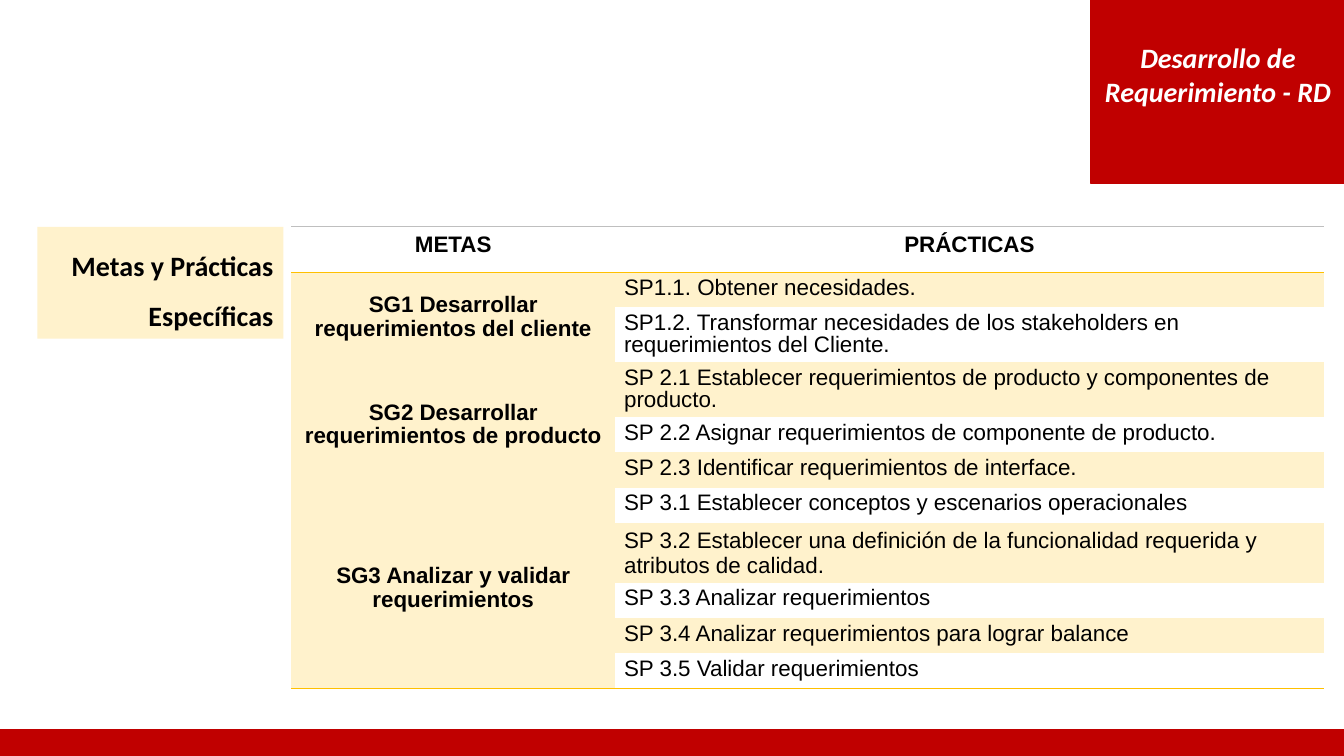
import pptx
import pptx.dml.color
import pptx.enum.shapes
import pptx.enum.text
import pptx.oxml
import pptx.oxml.ns
import pptx.util
from dataclasses import dataclass
from lxml import etree

Inches = pptx.util.Inches
Pt = pptx.util.Pt
Align = pptx.enum.text.PP_ALIGN
Anchor = pptx.enum.text.MSO_ANCHOR


@dataclass(frozen=True)
class Theme:
    red: str = "C00000"
    gold: str = "FFC000"
    cream: str = "FFF2CC"
    grey: str = "BFBFBF"
    black: str = "000000"
    white: str = "FFFFFF"
    heading_font: str = "Calibri"
    table_font: str = "Arial"
    heading_size: int = 20
    table_size: int = 16


theme = Theme()
rgb = pptx.dml.color.RGBColor.from_string


def add_block(left, top, width, height, fill, line=None):
    shape = slide.shapes.add_shape(
        pptx.enum.shapes.MSO_SHAPE.RECTANGLE,
        Inches(left), Inches(top), Inches(width), Inches(height))
    shape.shadow.inherit = False
    shape.fill.solid()
    shape.fill.fore_color.rgb = rgb(fill)
    if line:
        shape.line.color.rgb = rgb(line)
        shape.line.width = Pt(1)
    else:
        shape.line.fill.background()
    return shape


def write(frame, text, font, size, color, align, bold=True):
    frame.word_wrap = True
    paragraph = frame.paragraphs[0]
    paragraph.text = text
    paragraph.alignment = align
    paragraph.font.name = font
    paragraph.font.size = Pt(size)
    paragraph.font.bold = bold
    paragraph.font.color.rgb = rgb(color)
    return paragraph


presentation = pptx.Presentation()
presentation.slide_width = Inches(13.33)
presentation.slide_height = Inches(7.5)
slide = presentation.slides.add_slide(presentation.slide_layouts[6])

# Side label
label = add_block(0.37, 2.25, 2.44, 1.11, theme.cream)
label.text_frame.vertical_anchor = Anchor.TOP
paragraph = write(label.text_frame, "Metas y Prácticas Específicas", theme.heading_font,
                  theme.heading_size, theme.black, Align.RIGHT)
paragraph.line_spacing = 1.5

# Goals and their practices
goals = [
    ("SG1 Desarrollar requerimientos del cliente", [
        "SP1.1. Obtener necesidades.",
        "SP1.2. Transformar necesidades de los stakeholders en requerimientos del Cliente.",
    ]),
    ("SG2 Desarrollar requerimientos de producto", [
        "SP 2.1 Establecer requerimientos de producto y componentes de producto.",
        "SP 2.2 Asignar requerimientos de componente de producto.",
        "SP 2.3 Identificar requerimientos de interface.",
    ]),
    ("SG3 Analizar y validar requerimientos", [
        "SP 3.1 Establecer conceptos y escenarios operacionales",
        "SP 3.2 Establecer una definición de la funcionalidad requerida y atributos de calidad.",
        "SP 3.3 Analizar requerimientos",
        "SP 3.4 Analizar requerimientos para lograr balance",
        "SP 3.5 Validar requerimientos",
    ]),
]
row_heights = [0.45] + [0.35] * 6 + [0.38] + [0.35] * 3
table = slide.shapes.add_table(
    len(row_heights), 2, Inches(2.89), Inches(2.25),
    Inches(10.24), Inches(sum(row_heights))).table
table.horz_banding = False
# Plain style without grid
style = table._tbl.tblPr.find(pptx.oxml.ns.qn("a:tableStyleId"))
style.text = "{2D5ABB26-0587-4C30-8999-92F81FD0307C}"
for column, width in zip(table.columns, (3.21, 7.03)):
    column.width = Inches(width)
for row, height in zip(table.rows, row_heights):
    row.height = Inches(height)

# Fills: goal column and odd rows are cream
for row_index in range(len(row_heights)):
    for column_index in range(2):
        cell = table.cell(row_index, column_index)
        cell.margin_left = cell.margin_right = Inches(0.09)
        cell.margin_top = cell.margin_bottom = Inches(0.05)
        if row_index > 0 and (column_index == 0 or row_index % 2):
            cell.fill.solid()
            cell.fill.fore_color.rgb = rgb(theme.cream)
        else:
            cell.fill.background()

# Table text
for column_index, heading in enumerate(("METAS", "PRÁCTICAS")):
    write(table.cell(0, column_index).text_frame, heading, theme.table_font,
          theme.table_size, theme.black, Align.CENTER)

row_index = 1
for goal, practices in goals:
    goal_cell = table.cell(row_index, 0)
    goal_cell.merge(table.cell(row_index + len(practices) - 1, 0))
    goal_cell.vertical_anchor = Anchor.MIDDLE
    paragraph = write(goal_cell.text_frame, goal, theme.table_font,
                      theme.table_size, theme.black, Align.CENTER)
    paragraph.line_spacing = 0.95
    for practice in practices:
        paragraph = write(table.cell(row_index, 1).text_frame, practice, theme.table_font,
                          theme.table_size, theme.black, Align.LEFT, bold=False)
        if not practice.startswith("SP 3.2"):
            paragraph.line_spacing = 0.9
            paragraph.space_after = Pt(0)
            # Space after as a share of the line
            after = paragraph._p.pPr.find(pptx.oxml.ns.qn("a:spcAft"))
            after.remove(after[0])
            etree.SubElement(after, pptx.oxml.ns.qn("a:spcPct"), val="30000")
        row_index += 1

# Horizontal rules, bottom before top so the XML order holds
last_goal_row = len(row_heights) - len(goals[-1][1])
last_row = len(row_heights) - 1
rules = [(0, 0, "lnB", theme.gold), (0, 1, "lnB", theme.gold),
         (0, 0, "lnT", theme.grey), (0, 1, "lnT", theme.grey),
         (last_goal_row, 0, "lnB", theme.gold),
         (last_row, 0, "lnB", theme.gold), (last_row, 1, "lnB", theme.gold)]
for row_index, column_index, side, color in rules:
    properties = table.cell(row_index, column_index)._tc.get_or_add_tcPr()
    properties.insert(0, pptx.oxml.parse_xml(
        f'<a:{side} {pptx.oxml.ns.nsdecls("a")} w="{Pt(1)}"><a:solidFill>'
        f'<a:srgbClr val="{color}"/></a:solidFill></a:{side}>'))

# Corner title, raised by a deeper bottom inset
title = add_block(10.82, 0, 2.52, 1.82, theme.red, theme.red)
title.text_frame.vertical_anchor = Anchor.MIDDLE
title.text_frame.margin_bottom = Inches(0.39)
paragraph = write(title.text_frame, "Desarrollo de Requerimiento - RD", theme.heading_font,
                  theme.heading_size, theme.white, Align.CENTER)
paragraph.font.italic = True

# Footer band
add_block(0, 7.24, 13.33, 0.26, theme.red, theme.red)

presentation.save("out.pptx")
